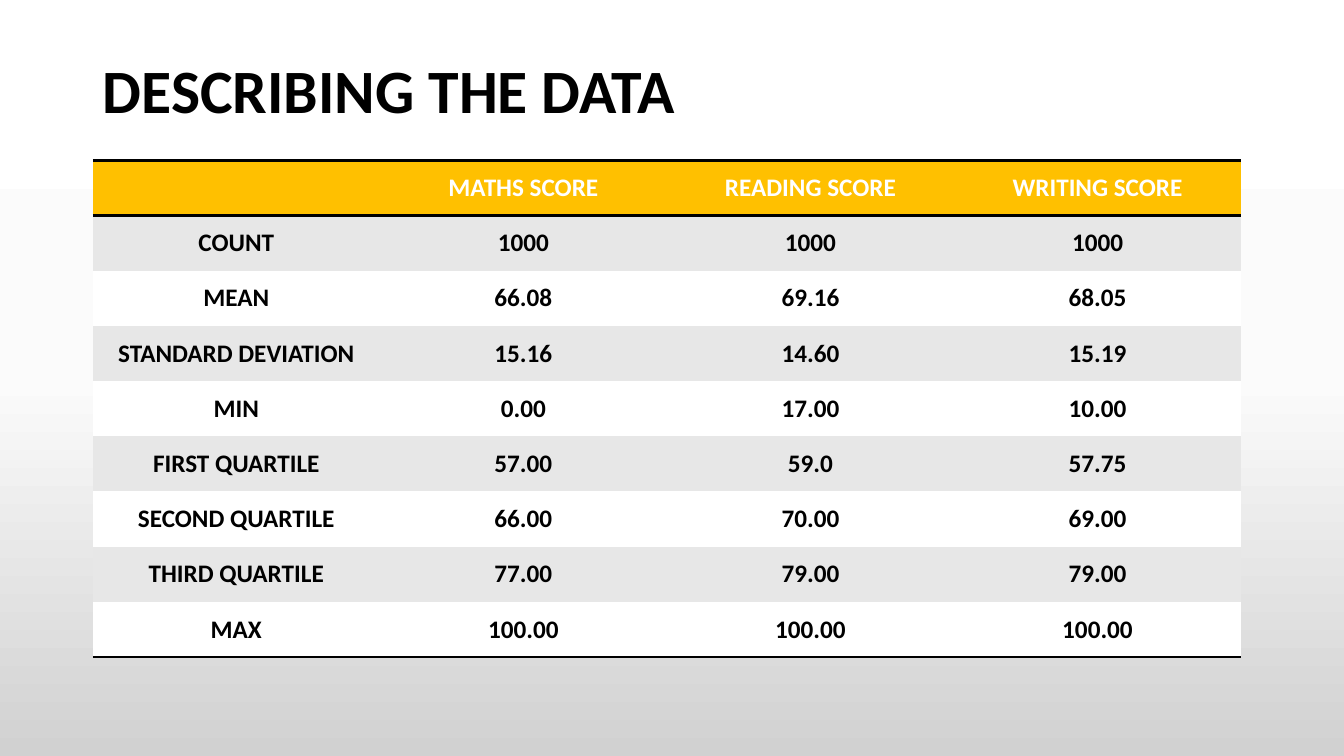
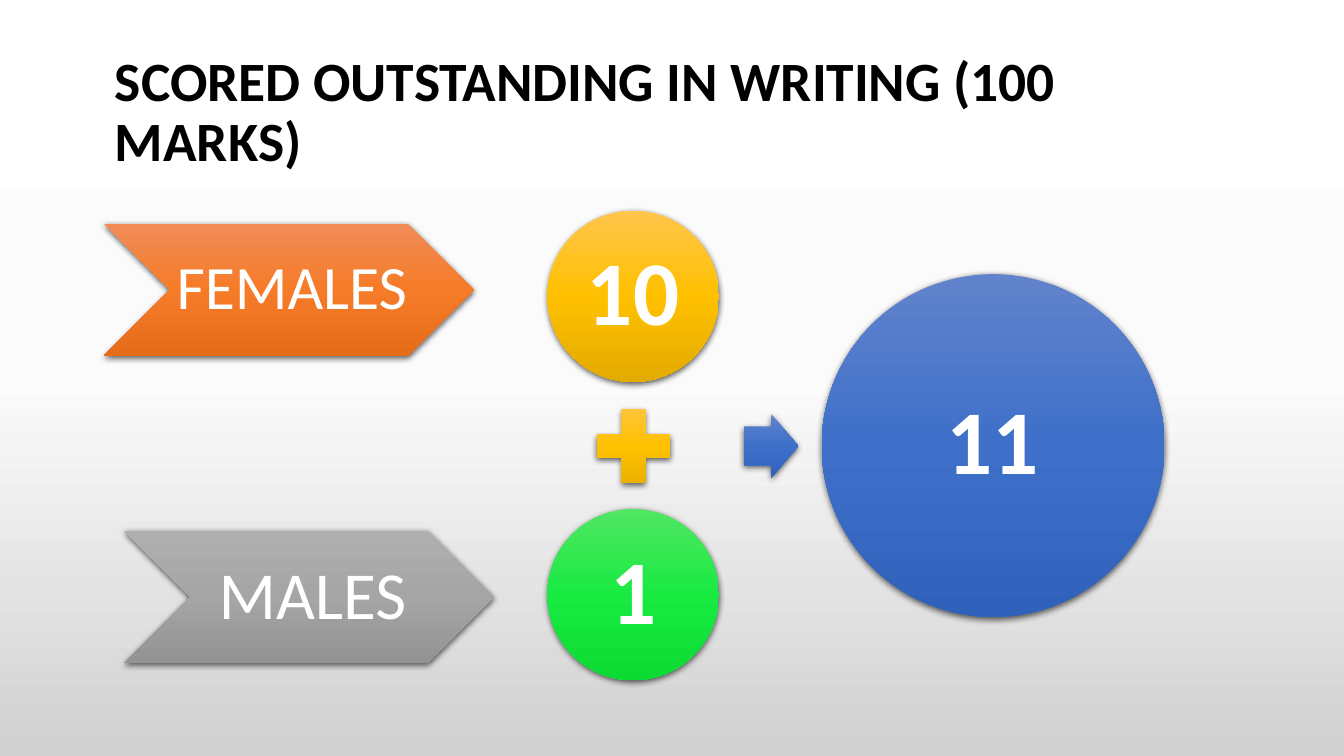
"""Builds two slides: a table of score statistics and a sum of top writing scores."""
from copy import deepcopy
from dataclasses import dataclass

from lxml import etree
from pptx import Presentation
from pptx.dml import color, fill as fills
from pptx.enum import shapes, text
from pptx.oxml import ns
from pptx.util import Inches, Pt

RGB = color.RGBColor
KIND = shapes.MSO_SHAPE
FONT = "Calibri"
BLACK = RGB(0x00, 0x00, 0x00)
WHITE = RGB(0xFF, 0xFF, 0xFF)
GOLD = RGB(0xFF, 0xC0, 0x00)
SILVER = RGB(0xE7, 0xE7, 0xE7)

Blend = tuple[RGB, RGB, RGB]
PAGE: Blend = (WHITE, RGB(0xFB, 0xFB, 0xFB), RGB(0xD1, 0xD1, 0xD1))
AMBER: Blend = (RGB(0xFF, 0xC6, 0x4B), GOLD, RGB(0xE3, 0xAB, 0x00))
GREEN: Blend = (RGB(0x51, 0xE6, 0x63), RGB(0x19, 0xEA, 0x42), RGB(0x0C, 0xDB, 0x34))
BLUE: Blend = (RGB(0x61, 0x83, 0xCB), RGB(0x3E, 0x70, 0xCA), RGB(0x30, 0x62, 0xBB))
ORANGE: Blend = (RGB(0xF1, 0x8C, 0x57), RGB(0xF6, 0x7B, 0x28), RGB(0xE5, 0x6C, 0x19))
GRAY: Blend = (RGB(0xAF, 0xAF, 0xAF), RGB(0xA5, 0xA5, 0xA5), RGB(0x93, 0x93, 0x93))

PLAIN = "{2D5ABB26-0587-4C30-8999-92F81FD0307C}"
SHADOW = (
    f'<a:outerShdw {ns.nsdecls("a")} blurRad="57150" dist="19050" dir="5400000" '
    'algn="ctr" rotWithShape="0"><a:srgbClr val="000000">'
    '<a:alpha val="63000"/></a:srgbClr></a:outerShdw>'
)
SCORES = (
    ("", "MATHS SCORE", "READING SCORE", "WRITING SCORE"),
    ("COUNT", "1000", "1000", "1000"),
    ("MEAN", "66.08", "69.16", "68.05"),
    ("STANDARD DEVIATION", "15.16", "14.60", "15.19"),
    ("MIN", "0.00", "17.00", "10.00"),
    ("FIRST QUARTILE", "57.00", "59.0", "57.75"),
    ("SECOND QUARTILE", "66.00", "70.00", "69.00"),
    ("THIRD QUARTILE", "77.00", "79.00", "79.00"),
    ("MAX", "100.00", "100.00", "100.00"),
)


@dataclass(frozen=True)
class Part:
    kind: KIND
    left: float
    top: float
    width: float
    height: float
    blend: Blend
    label: str = ""
    size: float = 65
    bold: bool = True
    pad: float = 0.09


PARTS = (
    Part(KIND.OVAL, 5.43, 2.09, 1.7, 1.7, AMBER, "10"),
    Part(KIND.MATH_PLUS, 5.79, 3.93, 0.99, 0.99, AMBER),
    Part(KIND.OVAL, 5.43, 5.05, 1.7, 1.7, GREEN, "1"),
    Part(KIND.RIGHT_ARROW, 7.38, 4.11, 0.54, 0.63, BLUE),
    Part(KIND.OVAL, 8.15, 2.72, 3.4, 3.4, BLUE, "11"),
    Part(KIND.CHEVRON, 1.03, 2.22, 3.67, 1.31, ORANGE, "FEMALES", 44, False, 0.06),
    Part(KIND.CHEVRON, 1.23, 5.27, 3.67, 1.31, GRAY, "MALES", 48, False, 0.07),
)


def shade(fill: fills.FillFormat, root, blend: Blend) -> None:
    fill.gradient()
    fill.gradient_angle = 270
    stops = root.xpath(".//a:gsLst")[0]
    stops.insert(1, deepcopy(stops[0]))
    for stop, tone, place in zip(fill.gradient_stops, blend, (0, 0.5, 1)):
        stop.color.rgb = tone
        stop.position = place


def style(frame, size: float, tone: RGB, bold: bool, align=text.PP_ALIGN.CENTER) -> None:
    for para in frame.paragraphs:
        para.alignment = align
        for run in para.runs:
            run.font.name = FONT
            run.font.size = Pt(size)
            run.font.bold = bold
            run.font.color.rgb = tone


def add_page(deck, title: str, left: float, top: float, height: float, size: float):
    page = deck.slides.add_slide(deck.slide_layouts[5])
    head = page.shapes.title
    head.left, head.top = Inches(left), Inches(top)
    head.width, head.height = Inches(11.5), Inches(height)
    frame = head.text_frame
    frame.text = title
    frame.auto_size = text.MSO_AUTO_SIZE.NONE
    frame.vertical_anchor = text.MSO_ANCHOR.MIDDLE
    frame.margin_right = Inches(0.3)
    frame.paragraphs[0].line_spacing = 0.9
    style(frame, size, BLACK, True, text.PP_ALIGN.LEFT)
    return page


def rule(cell, sides: str) -> None:
    props = cell._tc.get_or_add_tcPr()
    for spot, side in enumerate(sides):
        line = etree.Element(ns.qn(f"a:ln{side}"), w=str(Pt(2)))
        solid = etree.SubElement(line, ns.qn("a:solidFill"))
        etree.SubElement(solid, ns.qn("a:srgbClr"), val=str(BLACK))
        props.insert(spot, line)


def add_scores(page) -> None:
    count = len(SCORES)
    frame = page.shapes.add_table(
        count, len(SCORES[0]), Inches(0.92), Inches(1.59), Inches(11.39), Inches(4.93)
    )
    frame.element.xpath(".//a:tableStyleId")[0].text = PLAIN
    sides = {0: "TB", count - 1: "B"}
    for row, values in enumerate(SCORES):
        tone = GOLD if row == 0 else SILVER if row % 2 else WHITE
        for col, value in enumerate(values):
            cell = frame.table.cell(row, col)
            cell.text_frame.text = value
            cell.vertical_anchor = text.MSO_ANCHOR.MIDDLE
            cell.fill.solid()
            cell.fill.fore_color.rgb = tone
            style(cell.text_frame, 18, BLACK if row else WHITE, True)
            rule(cell, sides.get(row, ""))


def add_part(page, part: Part) -> None:
    box = (part.left, part.top, part.width, part.height)
    shape = page.shapes.add_shape(part.kind, *map(Inches, box))
    shade(shape.fill, shape.element, part.blend)
    shape.line.fill.background()
    shape.shadow.inherit = False
    shape.element.xpath(".//a:effectLst")[0].append(etree.fromstring(SHADOW))
    if part.kind == KIND.RIGHT_ARROW:
        shape.adjustments[0] = 0.6
    if part.label:
        frame = shape.text_frame
        frame.text = part.label
        frame.word_wrap = False
        frame.vertical_anchor = text.MSO_ANCHOR.MIDDLE
        frame.margin_left = Inches(part.pad)
        frame.margin_right = Inches(part.pad if part.kind == KIND.OVAL else 0)
        frame.paragraphs[0].line_spacing = 0.9
        style(frame, part.size, WHITE, part.bold)


def main() -> None:
    deck = Presentation()
    deck.slide_width, deck.slide_height = Inches(13.33), Inches(7.5)
    master = deck.slide_master
    shade(master.background.fill, master.element, PAGE)
    add_scores(add_page(deck, "DESCRIBING THE DATA", 0.92, 0.4, 1.06, 44))
    page = add_page(deck, "SCORED OUTSTANDING IN WRITING (100 MARKS)", 1.04, 0.65, 0.95, 39.6)
    for part in PARTS:
        add_part(page, part)
    deck.save("out.pptx")


if __name__ == "__main__":
    main()
